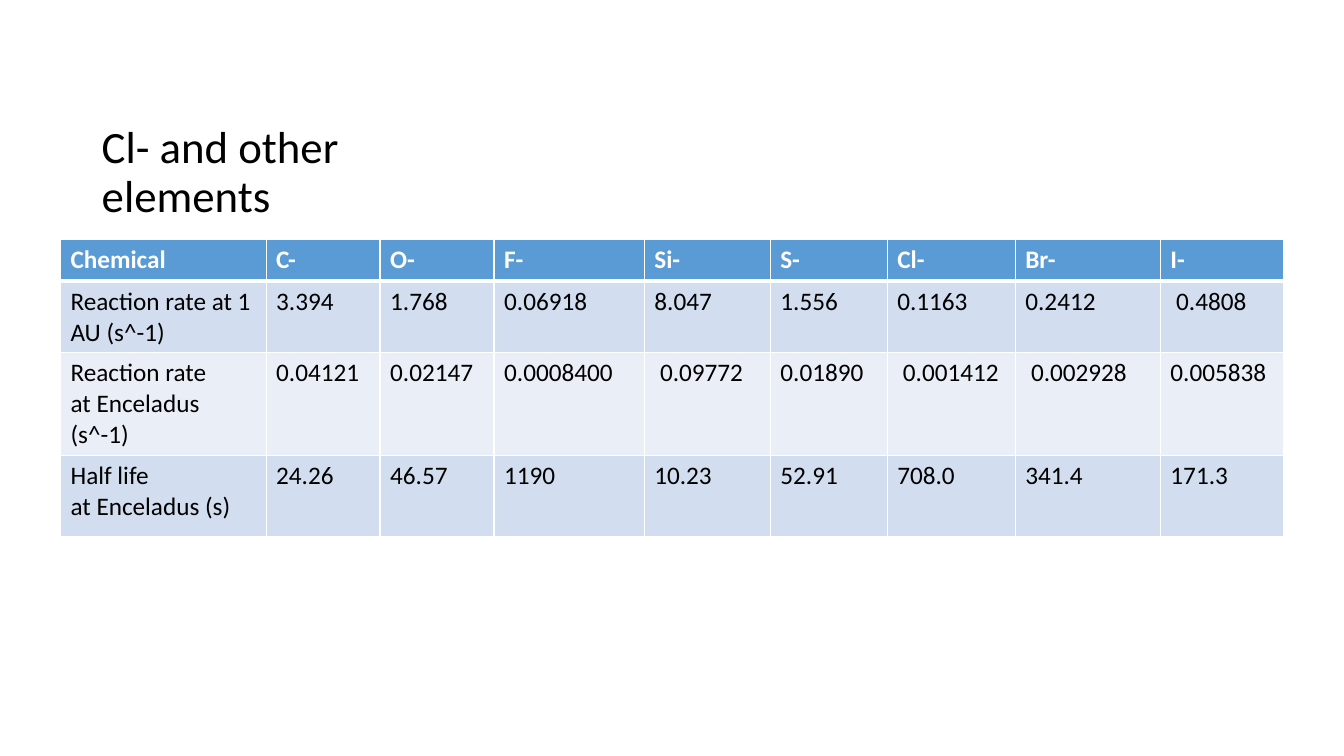
"""Build a slide with a table of reaction rates for negative ions."""
import dataclasses

import lxml.etree
import pptx
import pptx.dml.color
import pptx.enum.text
import pptx.oxml.ns
import pptx.util


@dataclasses.dataclass(frozen=True)
class Theme:
    """Colours, typeface and sizes in points."""
    font: str = "Calibri"
    title_size: int = 32
    cell_size: int = 18
    ink: str = "000000"
    header_ink: str = "FFFFFF"
    header_fill: str = "5B9BD5"
    bands: tuple = ("D2DEEF", "EAEFF7")
    border: str = "FFFFFF"
    thin: int = 1
    thick: int = 3


THEME = Theme()
SLIDE_WIDTH = pptx.util.Inches(13.33)
SLIDE_HEIGHT = pptx.util.Inches(7.5)

TITLE = "Cl- and other elements"
TITLE_BOX = (6.83, 6.67, 32.26, 23.33)
TABLE_LEFT, TABLE_TOP = 4.5, 31.73
COLUMN_SHARES = (15.3, 8.48, 8.48, 11.18, 9.38, 8.7, 9.53, 10.8, 9.15)
ROW_SHARES = (5.47, 9.33, 10.8, 10.8)
ROWS = (
    ("Chemical", "C-", "O-", "F-", "Si-", "S-", "Cl-", "Br-", "I-"),
    ("Reaction rate at 1 AU (s^-1)", "3.394", "1.768", "0.06918", "8.047",
     "1.556", "0.1163", "0.2412", " 0.4808"),
    ("Reaction rate\nat Enceladus (s^-1)", "0.04121", "0.02147", "0.0008400",
     " 0.09772", "0.01890", " 0.001412", " 0.002928", "0.005838"),
    ("Half life\nat Enceladus (s)", "24.26", "46.57", "1190", "10.23",
     "52.91", "708.0", "341.4", "171.3"),
)


def across(percent):
    """Return a percentage of the slide's width."""
    return round(SLIDE_WIDTH * percent / 100)


def down(percent):
    """Return a percentage of the slide's height."""
    return round(SLIDE_HEIGHT * percent / 100)


def write_text(text_frame, text, size, color, bold=False, line_spacing=None):
    """Write each line of the text as a paragraph with one run."""
    for index, line in enumerate(text.split("\n")):
        paragraph = text_frame.add_paragraph() if index else text_frame.paragraphs[0]
        if line_spacing:
            paragraph.line_spacing = line_spacing
        run = paragraph.add_run()
        run.text = line
        run.font.name = THEME.font
        run.font.size = pptx.util.Pt(size)
        run.font.bold = bold
        run.font.color.rgb = pptx.dml.color.RGBColor.from_string(color)


def add_title(slide):
    """Add the title, resting on the bottom of its box."""
    left, top, width, height = TITLE_BOX
    shape = slide.shapes.add_textbox(across(left), down(top), across(width), down(height))
    text_frame = shape.text_frame
    text_frame.word_wrap = True
    text_frame.vertical_anchor = pptx.enum.text.MSO_ANCHOR.BOTTOM
    write_text(text_frame, TITLE, THEME.title_size, THEME.ink, line_spacing=0.9)


def set_borders(cell, top, bottom):
    """Draw the four borders of a cell, with given top and bottom widths."""
    qualified = pptx.oxml.ns.qn
    properties = cell._tc.get_or_add_tcPr()
    widths = {"a:lnL": THEME.thin, "a:lnR": THEME.thin, "a:lnT": top, "a:lnB": bottom}
    for tag, width in widths.items():
        line = lxml.etree.SubElement(properties, qualified(tag), w=str(pptx.util.Pt(width)))
        fill = lxml.etree.SubElement(line, qualified("a:solidFill"))
        lxml.etree.SubElement(fill, qualified("a:srgbClr"), val=THEME.border)


def fill_cell(cell, text, row_index):
    """Style a cell by its row and write its text."""
    header = row_index == 0
    set_borders(cell,
                top=THEME.thick if row_index == 1 else THEME.thin,
                bottom=THEME.thick if header else THEME.thin)
    color = THEME.header_fill if header else THEME.bands[(row_index - 1) % 2]
    cell.fill.solid()
    cell.fill.fore_color.rgb = pptx.dml.color.RGBColor.from_string(color)
    write_text(cell.text_frame, text, THEME.cell_size,
               THEME.header_ink if header else THEME.ink, bold=header)


def add_rate_table(slide):
    """Add the table of rates and half lives."""
    table = slide.shapes.add_table(
        len(ROWS), len(COLUMN_SHARES), across(TABLE_LEFT), down(TABLE_TOP),
        across(sum(COLUMN_SHARES)), down(sum(ROW_SHARES))).table
    for column, share in zip(table.columns, COLUMN_SHARES):
        column.width = across(share)
    for row, share in zip(table.rows, ROW_SHARES):
        row.height = down(share)
    for row_index, texts in enumerate(ROWS):
        for column_index, text in enumerate(texts):
            fill_cell(table.cell(row_index, column_index), text, row_index)


def main():
    """Build and save the presentation."""
    presentation = pptx.Presentation()
    presentation.slide_width = SLIDE_WIDTH
    presentation.slide_height = SLIDE_HEIGHT
    slide = presentation.slides.add_slide(presentation.slide_layouts[6])
    add_rate_table(slide)
    add_title(slide)
    presentation.save("out.pptx")


if __name__ == "__main__":
    main()
